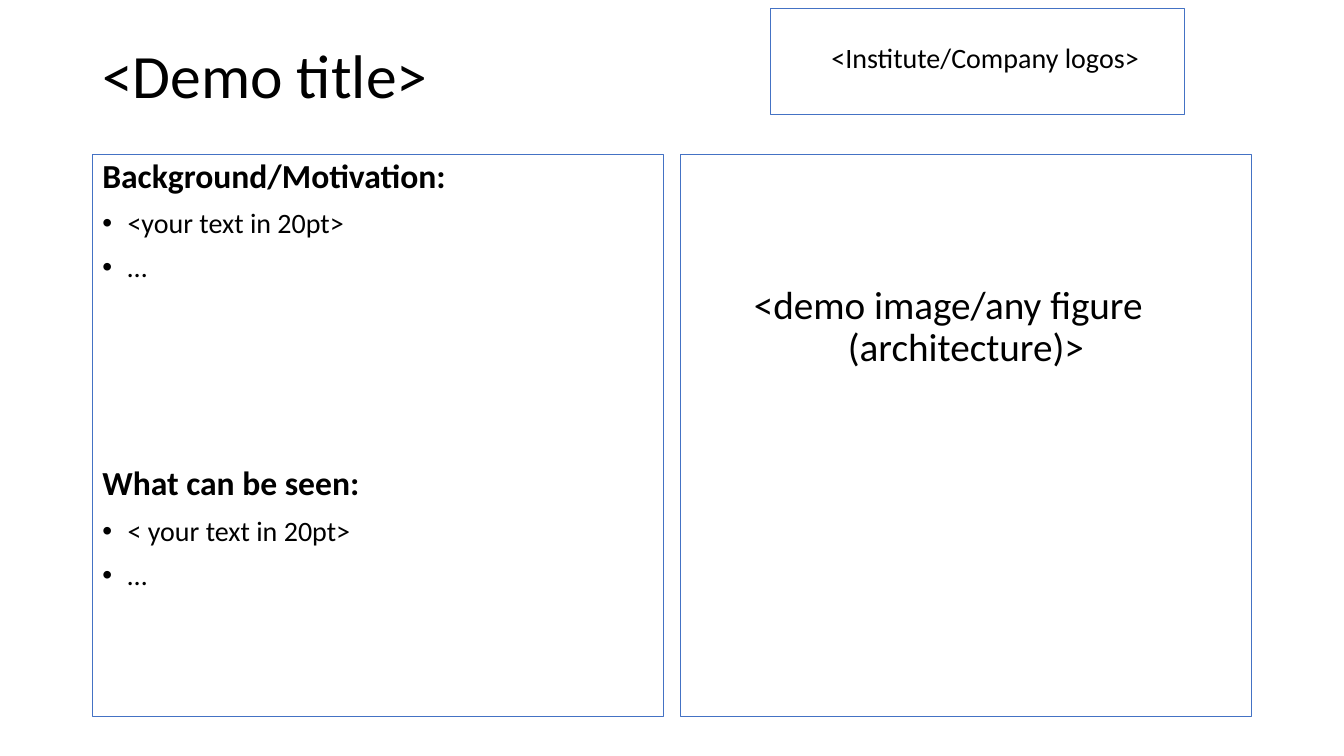
"""Build a demo slide template with a title, a text panel, a figure panel and a logo frame."""
from lxml.etree import SubElement
from pptx import Presentation
from pptx.dml.color import RGBColor
from pptx.enum.shapes import MSO_SHAPE
from pptx.enum.text import MSO_ANCHOR, PP_ALIGN
from pptx.oxml.ns import qn
from pptx.util import Pt


def color(value):
    return RGBColor.from_string(value)


def add_paragraph(frame, text, size, bold=False, space=10):
    first = not frame.paragraphs[0].runs
    paragraph = frame.paragraphs[0] if first else frame.add_paragraph()
    paragraph.alignment = PP_ALIGN.LEFT
    paragraph.line_spacing = 0.9
    paragraph.space_before = Pt(0 if first else space)
    run = paragraph.add_run()
    run.text = text
    run.font.name = "Calibri"
    run.font.size = Pt(size)
    run.font.bold = bold
    run.font.color.rgb = color("000000")
    return paragraph


presentation = Presentation()
presentation.slide_width = Pt(960)
presentation.slide_height = Pt(540)
slide = presentation.slides.add_slide(presentation.slide_layouts[6])

title = slide.shapes.add_textbox(Pt(66), Pt(28.8), Pt(828), Pt(64.8))
title.text_frame.word_wrap = True
add_paragraph(title.text_frame, "<Demo title>", 44)

frames = []
for left, top, width, height in [
    (66, 110.2, 408, 401.5),
    (550.4, 6, 295.4, 75.6),
    (486, 110.2, 408, 401.5),
]:
    shape = slide.shapes.add_shape(MSO_SHAPE.RECTANGLE, Pt(left), Pt(top), Pt(width), Pt(height))
    shape.shadow.inherit = False
    shape.fill.background()
    shape.line.color.rgb = color("4472C4")
    shape.line.width = Pt(0.25)
    shape.text_frame.word_wrap = True
    shape.text_frame.vertical_anchor = MSO_ANCHOR.TOP
    frames.append(shape.text_frame)
panel, logo, figure = frames

for heading, space, bullets in [
    ("Background/Motivation:", 0, ["<your text in 20pt>", "…"]),
    ("What can be seen:", 130.5, ["< your text in 20pt>", "…"]),
]:
    add_paragraph(panel, heading, 24, True, space)
    for text in bullets:
        paragraph = add_paragraph(panel, text, 20)
        properties = paragraph._p.get_or_add_pPr()
        properties.set("marL", str(Pt(18)))
        properties.set("indent", str(Pt(-18)))
        SubElement(properties, qn("a:buFont"), typeface="Arial")
        SubElement(properties, qn("a:buChar"), char="•")

logo.margin_left = Pt(43.4)
logo.margin_top = Pt(25.4)
add_paragraph(logo, "<Institute/Company logos>", 20)

figure.margin_top = Pt(93.8)
figure.margin_right = Pt(32.6)
for text, indent in [("<demo image/any figure", 0), ("(architecture)>", 25.4)]:
    paragraph = add_paragraph(figure, text, 28, space=0)
    paragraph.alignment = PP_ALIGN.CENTER
    paragraph._p.get_or_add_pPr().set("marL", str(Pt(indent)))

presentation.save("out.pptx")
